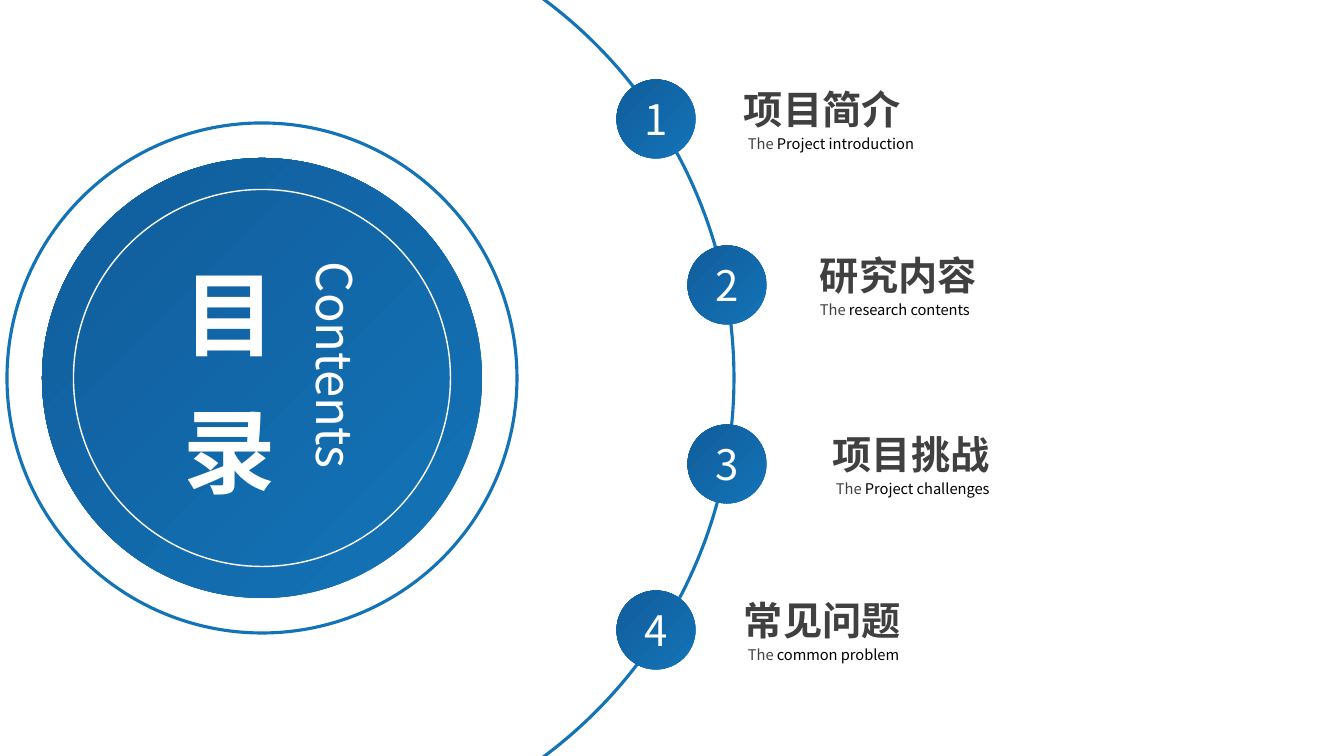
from lxml.etree import SubElement
from pptx import Presentation
from pptx.dml.color import RGBColor
from pptx.enum.shapes import MSO_SHAPE as SHAPE
from pptx.enum.text import MSO_ANCHOR as ANCHOR, MSO_AUTO_SIZE as AUTO_SIZE, PP_ALIGN as ALIGN
from pptx.oxml.ns import qn
from pptx.util import Pt

FONT = "Noto Sans CJK SC"
BLUE, NAVY, WHITE, GREY, BLACK = "1373B7", "115D9B", "FFFFFF", "404040", "000000"
CENTRE = (262, 378)
RINGS = [  # diameter, filled, line colour, line width
    (510, False, BLUE, 2.25),
    (440, True, None, 0),
    (377, True, WHITE, 1),
    (944, False, BLUE, 2.25),
]
HEADING = ("目", "录")
HEADING_BOX = (148, 263, 144, 280)
SUBHEADING = "Contents"
SUBHEADING_BOX = (290, 252, 80, 252)
BADGE = 79
ITEMS = [  # badge centre, title left, subtitle left, title, subtitle
    (656, 119, 734, 738, "项目简介", "Project introduction"),
    (727, 285, 810, 810, "研究内容", "research contents"),
    (727, 464, 823, 826, "项目挑战", "Project challenges"),
    (656, 630, 734, 738, "常见问题", "common problem"),
]


def px(*lengths):
    return [round(n * 914400 / 100.8) for n in lengths]


def rgb(value):
    return RGBColor.from_string(value)


def style(p, size, color, bold=False, align=ALIGN.LEFT):
    p.alignment = align
    p.font.size, p.font.bold, p.font.name = Pt(size), bold, FONT
    p.font.color.rgb = rgb(color)
    props = p._p.get_or_add_pPr().get_or_add_defRPr()
    SubElement(props, qn("a:ea")).set("typeface", FONT)


def add_circle(shapes, x, y, size, filled, line=None, width=0):
    s = shapes.add_shape(SHAPE.OVAL, *px(x - size / 2, y - size / 2, size, size))
    s.shadow.inherit = False
    if filled:
        s.fill.gradient()
        s.fill.gradient_angle = 135
        for stop, color in zip(s.fill.gradient_stops, (BLUE, NAVY)):
            stop.color.rgb = rgb(color)
    else:
        s.fill.background()
    if line:
        s.line.color.rgb = rgb(line)
        s.line.width = Pt(width)
    else:
        s.line.fill.background()
    return s


def add_text(shapes, box, runs, size, color, bold=False, align=ALIGN.LEFT):
    tf = shapes.add_textbox(*px(*box)).text_frame
    tf.word_wrap = True
    p = tf.paragraphs[0]
    style(p, size, color, bold, align)
    for text, run_color in runs:
        r = p.add_run()
        r.text = text
        if run_color != color:
            r.font.color.rgb = rgb(run_color)
    return tf


def set_vertical(tf):
    tf._txBody.bodyPr.set("vert", "eaVert")


def add_heading(slide):
    title = slide.shapes.title
    title.left, title.top, title.width, title.height = px(*HEADING_BOX)
    slide.shapes._spTree.append(title._element)
    tf = title.text_frame
    set_vertical(tf)
    tf.word_wrap = True
    tf.auto_size = AUTO_SIZE.NONE
    tf.vertical_anchor = ANCHOR.TOP
    p = tf.paragraphs[0]
    style(p, 66, WHITE, True)
    for char in HEADING:
        r = p.add_run()
        r.text = char
    p.runs[0]._r.get_or_add_rPr().set("spc", "3200")
    set_vertical(add_text(slide.shapes, SUBHEADING_BOX, [(SUBHEADING, WHITE)],
                          35, WHITE, align=ALIGN.JUSTIFY))


def add_item(shapes, number, x, y, title_x, subtitle_x, title, subtitle):
    badge = add_circle(shapes, x, y, BADGE, True)
    tf = badge.text_frame
    tf.vertical_anchor = ANCHOR.MIDDLE
    p = tf.paragraphs[0]
    style(p, 30, WHITE, align=ALIGN.CENTER)
    p.add_run().text = str(number)
    group = shapes.add_group_shape().shapes
    top = y - 39
    add_text(group, (title_x, top, 417, 57), [(title, GREY)], 28, GREY, True)
    add_text(group, (subtitle_x, top + 50, 513, 28),
             [("The ", GREY), (subtitle, BLACK)], 10.5, BLACK)


def main():
    """Build the contents slide and save it."""
    prs = Presentation()
    prs.slide_width, prs.slide_height = px(1344, 756)
    slide = prs.slides.add_slide(prs.slide_layouts[5])
    for ring in RINGS:
        add_circle(slide.shapes, *CENTRE, *ring)
    add_heading(slide)
    for number, item in enumerate(ITEMS, 1):
        add_item(slide.shapes, number, *item)
    prs.save("out.pptx")


if __name__ == "__main__":
    main()
